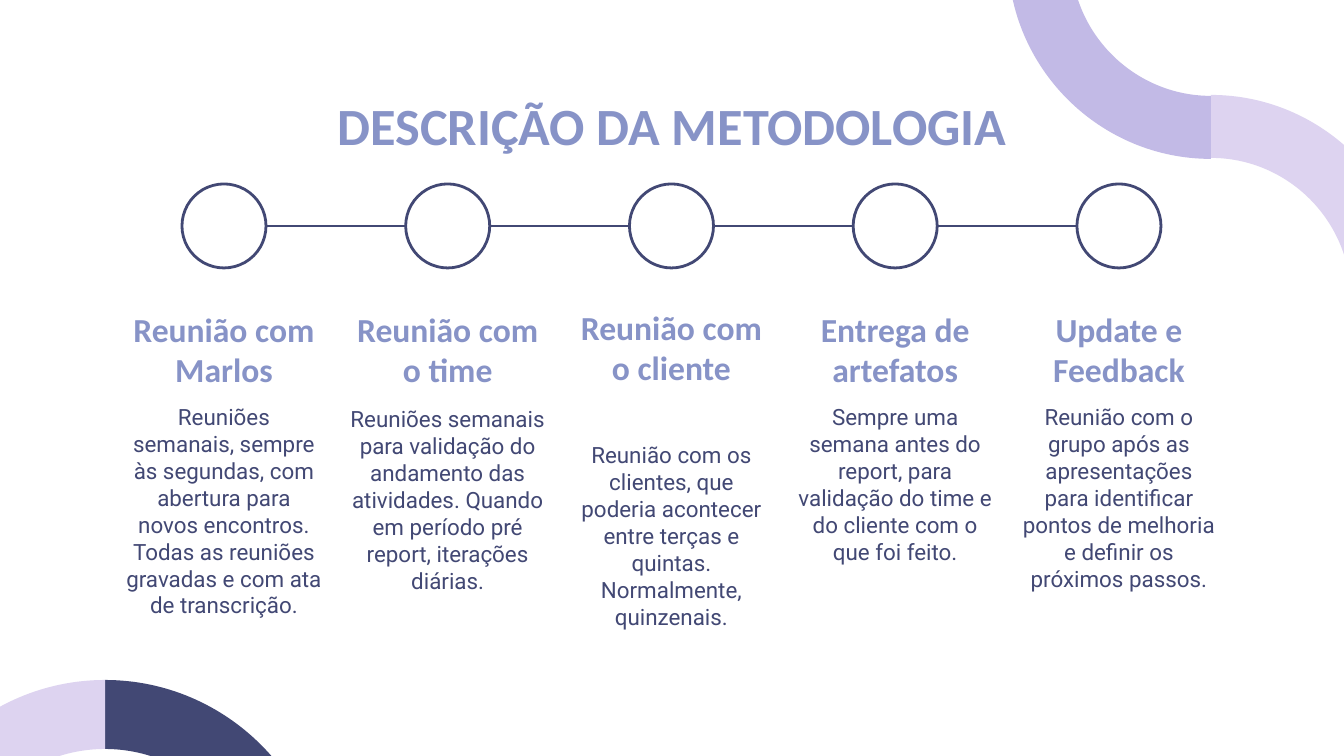
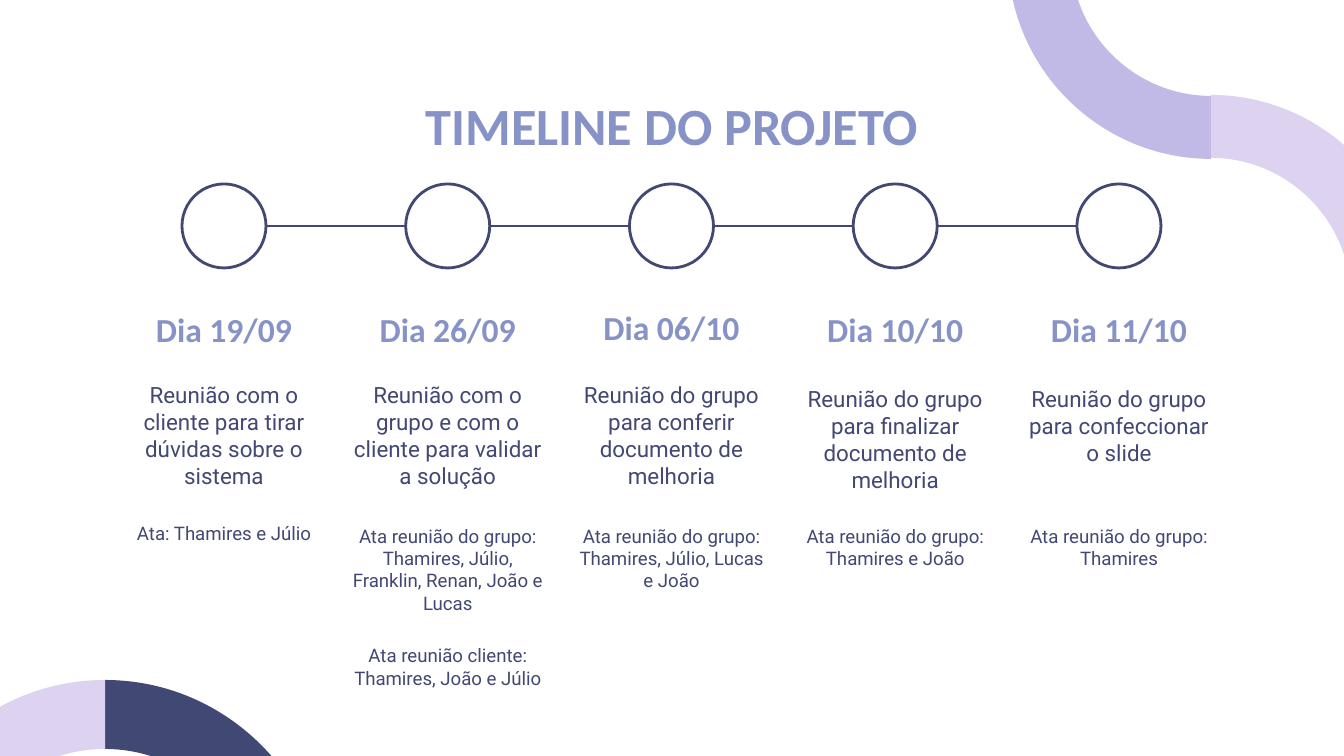
from itertools import pairwise

from lxml.etree import SubElement
from pptx import Presentation
from pptx.dml.color import RGBColor
from pptx.enum.shapes import MSO_CONNECTOR as Connector, MSO_SHAPE as Shape
from pptx.enum.text import MSO_ANCHOR as Anchor, PP_ALIGN as Align
from pptx.oxml.ns import qn
from pptx.util import Pt

PX = 914400 / 134.4
WIDTH, HEIGHT = 1344, 756

NAVY, BLUE = "424874", "8793C7"
LILAC, LAVENDER = "DDD3F0", "C2BAE6"
WHITE = "FFFFFF"
HEADING_FONT, BODY_FONT = "Calibri", "Roboto"

# Boxes are left, top, width, height
TITLE_BOX = (105, 80, 1134, 70)
TIMELINE_BOX = (113, 184, 1117, 560)
COLUMN_WIDTH, COLUMN_COUNT = 222, 5
CIRCLE_SIZE = 84
HEADING_TOPS = (111, 111, 109, 111, 111)
HEADING_HEIGHT = 50
BODY_HEIGHTS = (121, 116, 176, 176, 121)
NOTE_TOP = 327
NOTE_HEIGHTS = (90, 141, 141, 141, 141)

# Directions of the quarter turns, and the control length of a round curve
DIRECTIONS = [(1, 0), (0, 1), (-1, 0), (0, -1)]
CURVE = 0.55

# Center x, center y, outer radius, inner radius, first quarter turn, color
CORNER_RINGS = [
    (105, 901, 221, 152, 3, NAVY),
    (105, 901, 221, 152, 2, LILAC),
    (1211, 298, 203, 140, 3, LILAC),
    (1211, -44, 203, 140, 1, LAVENDER),
]

# Heading, body text, body top, note paragraphs
METHOD_STEPS = [
    ("Reunião com Marlos",
     "Reuniões semanais, sempre às segundas, com abertura para novos encontros. "
     "Todas as reuniões gravadas e com ata de transcrição.", 206, []),
    ("Reunião com o time",
     "Reuniões semanais para validação do andamento das atividades. "
     "Quando em período pré report, iterações diárias.", 208, []),
    ("Reunião com o cliente",
     "Reunião com os clientes, que poderia acontecer entre terças e quintas. "
     "Normalmente, quinzenais.", 244, []),
    ("Entrega de artefatos",
     "Sempre uma semana antes do report, para validação do time e do cliente "
     "com o que foi feito.", 206, []),
    ("Update e Feedback",
     "Reunião com o grupo após as apresentações para identificar pontos de "
     "melhoria e definir os próximos passos.", 206, []),
]
PROJECT_DAYS = [
    ("Dia 19/09", "Reunião com o cliente para tirar dúvidas sobre o sistema", 184,
     ["Ata: Thamires e Júlio"]),
    ("Dia 26/09", "Reunião com o grupo e com o cliente para validar a solução", 184,
     ["Ata reunião do grupo: Thamires, Júlio, Franklin, Renan, João e Lucas",
      "Ata reunião cliente: Thamires, João e Júlio"]),
    ("Dia 06/10", "Reunião do grupo para conferir documento de melhoria", 184,
     ["Ata reunião do grupo: Thamires, Júlio, Lucas e João"]),
    ("Dia 10/10", "Reunião do grupo para finalizar documento de melhoria", 188,
     ["Ata reunião do grupo: Thamires e João"]),
    ("Dia 11/10", "Reunião do grupo para confeccionar o slide", 188,
     ["Ata reunião do grupo: Thamires"]),
]


def px(*lengths):
    return [round(length * PX) for length in lengths]


def color(hex_string):
    return RGBColor.from_string(hex_string)


def add_text(slide, box, paragraphs, size, font_name, text_color, bold=False):
    frame = slide.shapes.add_textbox(*px(*box)).text_frame
    frame.word_wrap = True
    frame.vertical_anchor = Anchor.TOP
    frame.margin_left = frame.margin_right = px(13.44)[0]
    frame.margin_top = frame.margin_bottom = px(13.44)[0]
    for index, text in enumerate(paragraphs):
        paragraph = frame.add_paragraph() if index else frame.paragraphs[0]
        paragraph.text = text
        paragraph.alignment = Align.CENTER
        if index:
            paragraph.space_before = Pt(16)
        font = paragraph.font
        font.name, font.size, font.bold = font_name, Pt(size), bold
        font.color.rgb = color(text_color)


def bend_side(side, start, end, center):
    """Turn a straight side of an outline into a quarter of a circle."""
    corner = [a + b - c for a, b, c in zip(start, end, center)]
    controls = [[p + CURVE * (k - p) for p, k in zip(point, corner)]
                for point in (start, end)]
    side.tag = qn("a:cubicBezTo")
    for index, (x, y) in enumerate(controls):
        control = SubElement(side, qn("a:pt"), x=str(round(x)), y=str(round(y)))
        side.insert(index, control)


def add_quarter_ring(slide, center_x, center_y, outer, inner, quarter, fill):
    center = px(center_x, center_y)
    first, last = DIRECTIONS[quarter], DIRECTIONS[(quarter + 1) % 4]
    corners = [px(center_x + radius * x, center_y + radius * y)
               for radius, (x, y) in ((outer, first), (outer, last),
                                      (inner, last), (inner, first))]
    builder = slide.shapes.build_freeform(*corners[0])
    builder.add_line_segments(corners[1:], close=True)
    ring = builder.convert_to_shape()

    # Bend the outer and the inner side
    local = [(x - ring.left, y - ring.top) for x, y in [center, *corners]]
    sides = list(ring._element.iter(qn("a:lnTo")))
    bend_side(sides[0], local[1], local[2], local[0])
    bend_side(sides[2], local[3], local[4], local[0])

    ring.shadow.inherit = False
    ring.fill.solid()
    ring.fill.fore_color.rgb = color(fill)
    ring.line.fill.background()


def style_line(line):
    line.color.rgb = color(NAVY)
    line.width = Pt(1.5)


def add_circle_chain(slide, lefts, top):
    # Circles
    for left in lefts:
        circle = slide.shapes.add_shape(
            Shape.OVAL, *px(left, top, CIRCLE_SIZE, CIRCLE_SIZE))
        circle.shadow.inherit = False
        circle.fill.background()
        style_line(circle.line)
    # Links between neighbors
    middle = top + CIRCLE_SIZE / 2
    for left, following in pairwise(lefts):
        link = slide.shapes.add_connector(
            Connector.STRAIGHT, *px(left + CIRCLE_SIZE, middle, following, middle))
        style_line(link.line)
        SubElement(link._element.spPr, qn("a:effectLst"))


def add_timeline(slide, box, columns):
    left, top, width, _ = box
    pitch = (width - COLUMN_WIDTH) / (COLUMN_COUNT - 1)
    lefts = [left + pitch * index for index in range(COLUMN_COUNT)]
    inset = (COLUMN_WIDTH - CIRCLE_SIZE) / 2
    add_circle_chain(slide, [x + inset for x in lefts], top)

    # Heading, body and note under each circle
    rows = zip(lefts, columns, HEADING_TOPS, BODY_HEIGHTS, NOTE_HEIGHTS)
    for x, column, heading_top, body_height, note_height in rows:
        heading, body, body_top, notes = column
        add_text(slide, (x, top + heading_top, COLUMN_WIDTH, HEADING_HEIGHT),
                 [heading], 18, HEADING_FONT, BLUE, bold=True)
        add_text(slide, (x, top + body_top, COLUMN_WIDTH, body_height),
                 [body], 12, BODY_FONT, NAVY)
        if notes:
            add_text(slide, (x, top + NOTE_TOP, COLUMN_WIDTH, note_height),
                     notes, 10, BODY_FONT, NAVY)


def add_timeline_slide(presentation, title, columns):
    slide = presentation.slides.add_slide(presentation.slide_layouts[6])
    slide.background.fill.solid()
    slide.background.fill.fore_color.rgb = color(WHITE)
    for ring in CORNER_RINGS:
        add_quarter_ring(slide, *ring)
    add_text(slide, TITLE_BOX, [title], 28, HEADING_FONT, BLUE, bold=True)
    add_timeline(slide, TIMELINE_BOX, columns)


def main():
    presentation = Presentation()
    presentation.slide_width, presentation.slide_height = px(WIDTH, HEIGHT)
    add_timeline_slide(presentation, "DESCRIÇÃO DA METODOLOGIA", METHOD_STEPS)
    add_timeline_slide(presentation, "TIMELINE DO PROJETO", PROJECT_DAYS)
    presentation.save("out.pptx")


if __name__ == "__main__":
    main()
